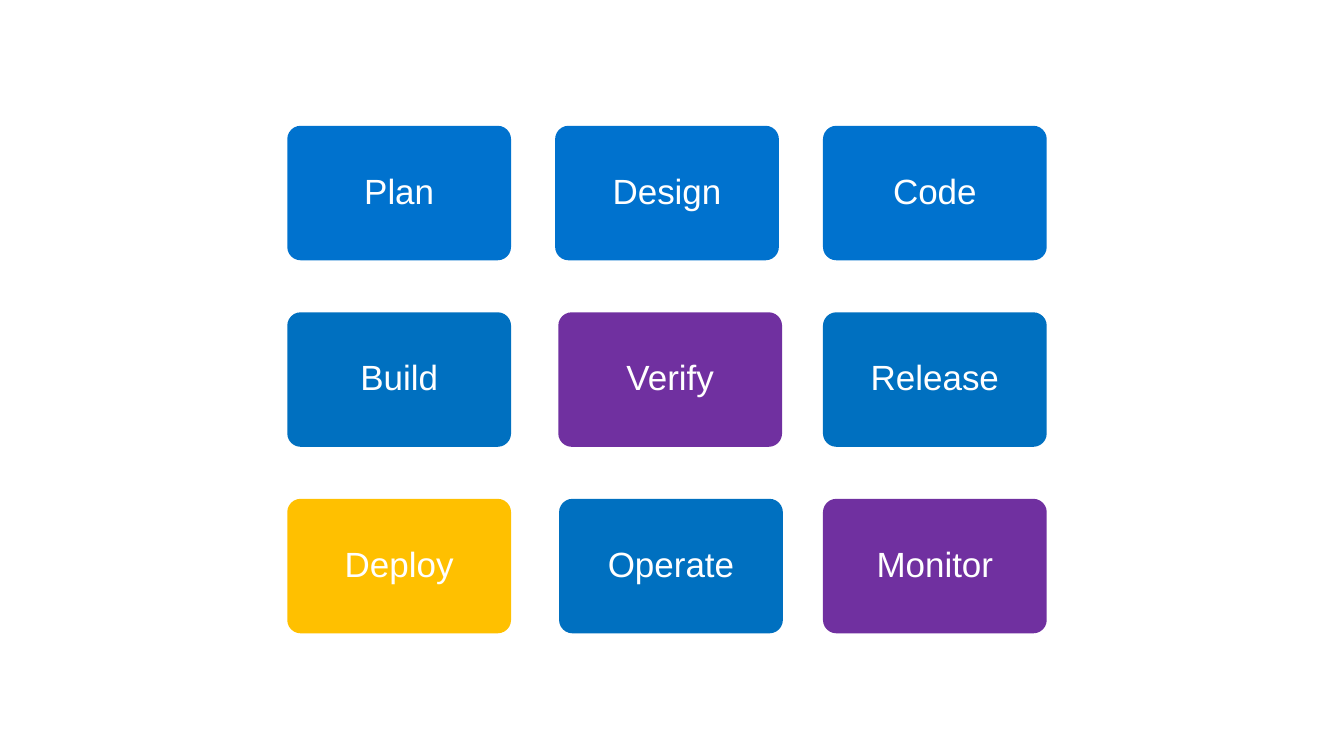
from pptx import Presentation
from pptx.dml.color import RGBColor
from pptx.enum import shapes, text
from pptx.util import Cm, Pt

# Content: rows of (stage, fill), with the shift of each row's middle card in cm
BRIGHT, BLUE, PURPLE, AMBER, WHITE = "0072CE", "0070C0", "7030A0", "FFC000", "FFFFFF"
STAGE_ROWS = [
    (0, [("Plan", BRIGHT), ("Design", BRIGHT), ("Code", BRIGHT)]),
    (0.08, [("Build", BLUE), ("Verify", PURPLE), ("Release", BLUE)]),
    (0.1, [("Deploy", AMBER), ("Operate", BLUE), ("Monitor", PURPLE)]),
]

# Layout in cm
SLIDE_WIDTH, SLIDE_HEIGHT = 33.87, 19.05
GRID_LEFT, GRID_TOP = 7.24, 3.17
COLUMN_STEP, ROW_STEP = 6.75, 4.7
CARD_WIDTH, CARD_HEIGHT = 5.64, 3.39
CORNER = 0.1

FRAME_FORMAT = {
    "word_wrap": True,
    "vertical_anchor": text.MSO_ANCHOR.MIDDLE,
    **{f"margin_{side}": Cm(0.25) for side in ("left", "top", "right", "bottom")},
}
PARAGRAPH_FORMAT = {"alignment": text.PP_ALIGN.CENTER, "line_spacing": 0.9}
FONT_FORMAT = {"name": "Arial", "size": Pt(25)}


def color(hex_string):
    return RGBColor.from_string(hex_string)


def apply(target, values):
    for name, value in values.items():
        setattr(target, name, value)


def add_card(slide, left, top, stage, fill):
    shape = slide.shapes.add_shape(
        shapes.MSO_SHAPE.ROUNDED_RECTANGLE,
        Cm(left), Cm(top), Cm(CARD_WIDTH), Cm(CARD_HEIGHT))
    shape.adjustments[0] = CORNER
    shape.shadow.inherit = False
    shape.fill.solid()
    shape.fill.fore_color.rgb = color(fill)
    shape.line.fill.background()

    # Label
    apply(shape.text_frame, FRAME_FORMAT)
    paragraph = shape.text_frame.paragraphs[0]
    apply(paragraph, PARAGRAPH_FORMAT)
    run = paragraph.add_run()
    run.text = stage
    apply(run.font, FONT_FORMAT)
    run.font.color.rgb = color(WHITE)


def main():
    presentation = Presentation()
    presentation.slide_width = Cm(SLIDE_WIDTH)
    presentation.slide_height = Cm(SLIDE_HEIGHT)
    slide = presentation.slides.add_slide(presentation.slide_layouts[6])

    # Grid of stage cards
    for row, (middle_shift, stages) in enumerate(STAGE_ROWS):
        for column, (stage, fill) in enumerate(stages):
            shift = middle_shift if column == 1 else 0
            left = GRID_LEFT + column * COLUMN_STEP + shift
            add_card(slide, left, GRID_TOP + row * ROW_STEP, stage, fill)

    presentation.save("out.pptx")


if __name__ == "__main__":
    main()
